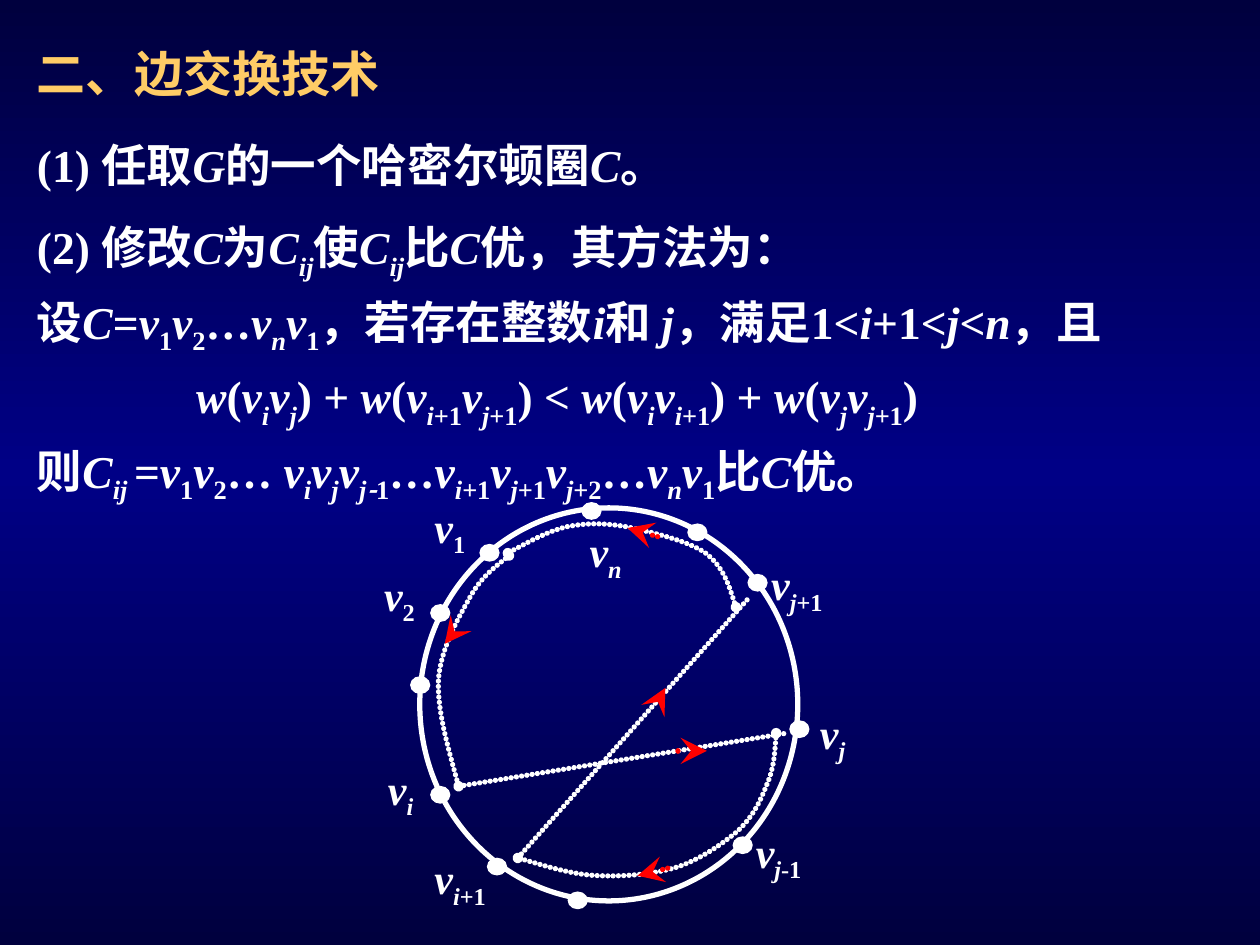
"""Build the slide on the edge exchange technique for Hamilton cycles."""
from copy import deepcopy
from itertools import groupby
from typing import NamedTuple

from pptx import Presentation
from pptx.dml.color import RGBColor
from pptx.enum.shapes import MSO_CONNECTOR as Link, MSO_SHAPE as Kind
from pptx.oxml.ns import qn
from pptx.oxml.xmlchemy import OxmlElement as Node
from pptx.util import Pt

NIGHT = RGBColor(0x00, 0x00, 0x3E)
NAVY = RGBColor(0x00, 0x00, 0x86)
GOLD = RGBColor(0xFF, 0xCC, 0x66)
WHITE = RGBColor(0xFF, 0xFF, 0xFF)
RED = RGBColor(0xFF, 0x00, 0x00)
LATIN, HAN = "Times New Roman", "Noto Sans CJK SC"
Point = tuple[float, float]


class Box(NamedTuple):
    left: float
    top: float
    width: float
    height: float


class Label(NamedTuple):
    text: str
    left: float
    top: float


class Stroke(NamedTuple):
    start: Point
    end: Point


TITLE = "二、边交换技术"
FIRST = "(1) 任取G的一个哈密尔顿圈C。"
STEPS = [
    "(2) 修改C为C{ij}使C{ij}比C优，其方法为：",
    "设C=v{1}v{2}…v{n}v{1}，若存在整数i和 j，满足1<i+1<j<n，且",
    "w(v{i}v{j}) + w(v{i+1}v{j+1}) < w(v{i}v{i+1}) + w(v{j}v{j+1})",
    "则C{ij }=v{1}v{2}… v{i}v{j}v{j~1}…v{i+1}v{j+1}v{j+2}…v{n}v{1}比C优。",
]
LABELS = [
    Label("v{1}", 241.2, 283), Label("v{2}", 212.4, 321.8),
    Label("v{n}", 329.8, 296.8), Label("v{i}", 214.6, 432.7),
    Label("v{i+1}", 241.2, 483.8), Label("v{j-1}", 424.8, 468.7),
    Label("v{j}", 461.5, 400.6), Label("v{j+1}", 433.6, 315.6),
]
RING = Box(239.9, 290.2, 216, 224.6)
NODES = [
    (393.1, 299.5), (332.6, 287.3), (274.3, 311.2), (246.2, 345.6),
    (234.7, 386.8), (246.2, 449.5), (278.6, 490.5), (324.7, 509.8),
    (419, 478.3), (451.4, 412), (427.5, 328.3),
]
CURVES = [
    [(290.9, 317.5), (283, 324), (274.3, 330.5), (267.8, 342.7),
     (261.4, 354.2), (252, 370.8), (250.6, 388.1),
     (249.8, 406.1), (256.3, 427.7), (262.1, 449.3)],
    [(443.5, 419), (442.8, 429.8), (442.1, 439.9), (437.8, 449.3),
     (434.2, 458.6), (429.8, 467.3), (421.2, 475.2),
     (412.6, 482.4), (400.3, 491), (387.4, 495.4),
     (373.7, 499.7), (356.4, 501.1), (341.3, 500.4),
     (326.2, 499.7), (311, 494.6), (295.9, 490.3)],
    [(420.5, 347), (416.9, 335.5), (413.3, 324), (403.2, 316.1),
     (393.1, 308.9), (370.8, 303.8), (357.8, 301),
     (344.9, 298.8), (335.5, 298.8), (324, 301),
     (312.5, 303.8), (301, 310.3), (290.2, 316.1)],
]
CHORDS = [
    Stroke((262.1, 449.3), (449.3, 419)),
    Stroke((295.9, 490.3), (427, 342.7)),
]
ARROWS = [
    Stroke((375.8, 306.7), (358.6, 301.7)),
    Stroke((387.4, 429.1), (403.9, 429.1)),
    Stroke((381.6, 496.1), (364.3, 500.4)),
    Stroke((374.4, 403.9), (380.2, 393.1)),
    Stroke((262.1, 357.8), (254.2, 367.9)),
]


def paint(slide) -> None:
    """Fill the background with a dark, bright, dark gradient."""
    fill = slide.background.fill
    fill.gradient()
    fill.gradient_angle = 90
    stops = next(slide.element.iter(qn("a:gsLst")))
    stops.insert(1, deepcopy(stops[0]))
    for stop, place, tint in zip(fill.gradient_stops, (0, 0.5, 1), (NIGHT, NAVY, NIGHT)):
        stop.position = place
        stop.color.rgb = tint


def split(text: str) -> list[tuple[str, bool, bool, str]]:
    """Cut text into italic letters, braced subscripts and wide minus signs (~)."""
    marks, low = [], False
    for char in text:
        if char in "{}":
            low = char == "{"
        elif char == "~":
            marks.append(("-", True, low, HAN))
        else:
            marks.append((char, char.isascii() and char.isalpha(), low, LATIN))
    return [("".join(m[0] for m in group), *key)
            for key, group in groupby(marks, lambda m: m[1:])]


def write(slide, box: Box, lines: list[str], size: float, tint: RGBColor = WHITE):
    """Add a text box and return its paragraphs."""
    frame = slide.shapes.add_textbox(*map(Pt, box)).text_frame
    frame.word_wrap = True
    for num, line in enumerate(lines):
        para = frame.add_paragraph() if num else frame.paragraphs[0]
        for text, slant, low, face in split(line):
            run = para.add_run()
            run.text = text
            font = run.font
            font.name, font.size = face, Pt(size)
            font.bold, font.italic = True, slant
            font.color.rgb = tint
            props = run._r.get_or_add_rPr()
            if low:
                props.set("baseline", "-25000")
            east = Node("a:ea")
            east.set("typeface", HAN)
            props.append(east)
    return frame.paragraphs


def oval(slide, box: Box, weight: float, solid: bool) -> None:
    """Draw a white ellipse, filled or open."""
    shape = slide.shapes.add_shape(Kind.OVAL, *map(Pt, box))
    shape.shadow.inherit = False
    if solid:
        shape.fill.solid()
        shape.fill.fore_color.rgb = WHITE
    else:
        shape.fill.background()
    shape.line.color.rgb = WHITE
    shape.line.width = Pt(weight)


def add(parent, tag: str, **attrs: str):
    """Append an element with attributes and return it."""
    node = Node(tag)
    for name, value in attrs.items():
        node.set(name, value)
    parent.append(node)
    return node


def dot(line, tint: RGBColor, head: str = "", tail: str = "", size: str = "sm") -> None:
    """Style a line with close round dots and optional ends."""
    line.color.rgb = tint
    line.width = Pt(3)
    edge = line._get_or_add_ln()
    edge.set("cap", "rnd")
    add(add(edge, "a:custDash"), "a:ds", d="100000", sp="1000")
    add(edge, "a:round")
    for tag, kind in (("a:headEnd", head), ("a:tailEnd", tail)):
        if kind:
            add(edge, tag, type=kind, w=size, len=size)


def curve(slide, points: list[Point]) -> None:
    """Draw a chain of cubic curves as a dotted outline."""
    pen = slide.shapes.build_freeform(*map(Pt, points[0]))
    pen.add_line_segments([tuple(map(Pt, p)) for p in points[1:]], close=False)
    shape = pen.convert_to_shape()
    sides = list(shape._element.iter(qn("a:lnTo")))
    track = sides[0].getparent()
    for at in range(0, len(sides), 3):
        bend = add(track, "a:cubicBezTo")
        for side in sides[at:at + 3]:
            bend.append(side[0])
            track.remove(side)
    shape.shadow.inherit = False
    shape.fill.background()
    dot(shape.line, WHITE, "oval", "oval")


def link(slide, stroke: Stroke, tint: RGBColor, tail: str = "") -> None:
    """Draw a straight dotted line."""
    line = slide.shapes.add_connector(Link.STRAIGHT, *map(Pt, stroke.start + stroke.end))
    dot(line.line, tint, tail=tail, size="lg")
    add(line._element.spPr, "a:effectLst")


def main() -> None:
    """Build and save the slide."""
    deck = Presentation()
    deck.slide_width, deck.slide_height = Pt(720), Pt(540)
    slide = deck.slides.add_slide(deck.slide_layouts[6])
    paint(slide)
    write(slide, Box(14, 21.3, 221, 41), [TITLE], 28, GOLD)
    write(slide, Box(14, 74.6, 450, 38.9), [FIRST], 26)
    oval(slide, RING, 3, False)
    for label in LABELS:
        write(slide, Box(label.left, label.top, 60.5, 40.3), [label.text], 24)
    for node in NODES:
        oval(slide, Box(*node, 10.8, 9.4), 0.75, True)
    for points in CURVES:
        curve(slide, points)
    for chord in CHORDS:
        link(slide, chord, WHITE)
    for arrow in ARROWS:
        link(slide, arrow, RED, "stealth")
    paras = write(slide, Box(14, 114.7, 680.4, 177.8), STEPS, 26)
    for para in paras:
        para.line_spacing = 1.2
    paras[2]._p.get_or_add_pPr().set("marL", str(Pt(91)))
    deck.save("out.pptx")


if __name__ == "__main__":
    main()
